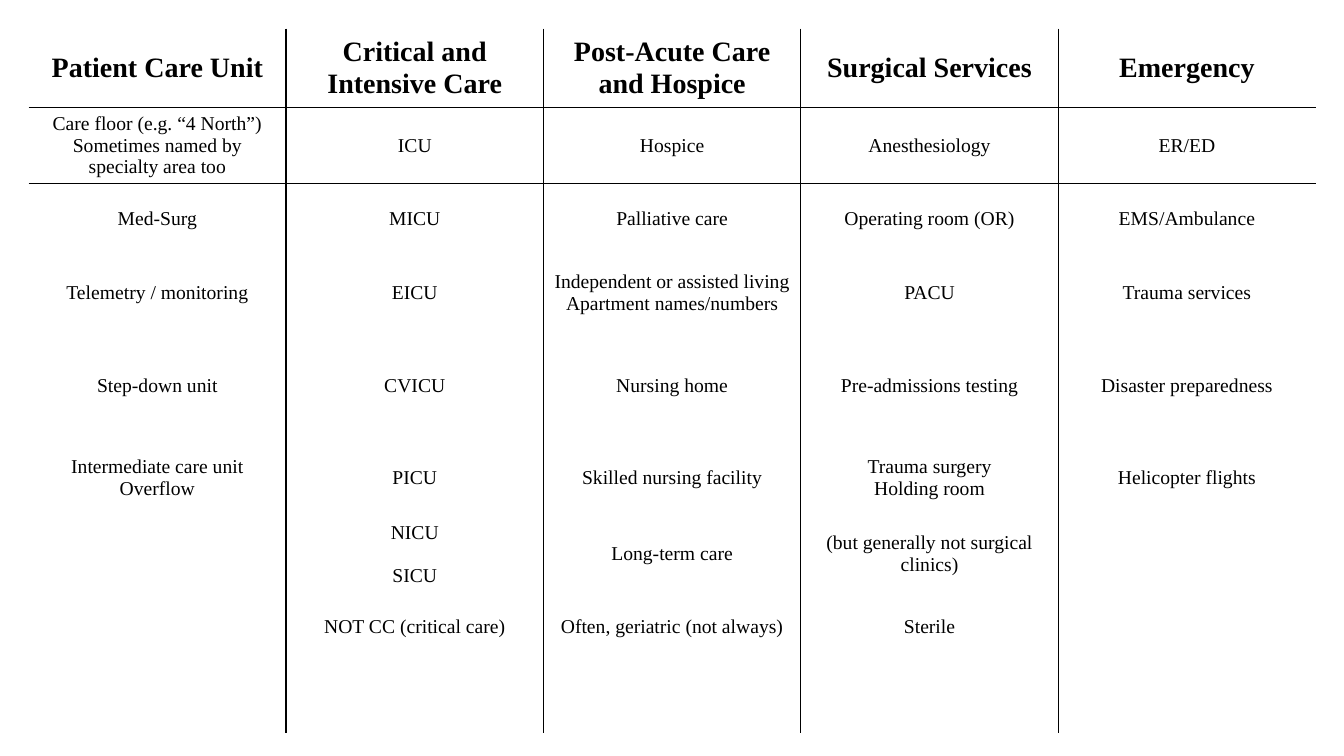
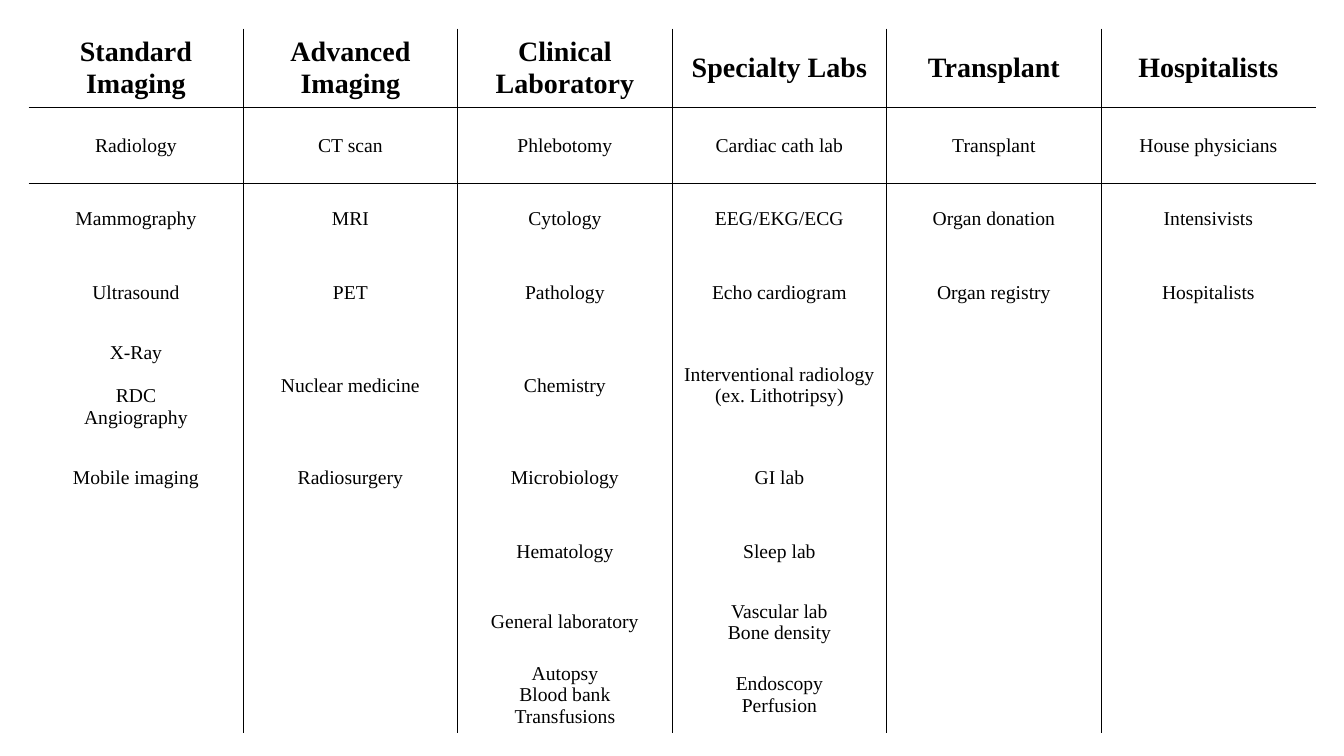
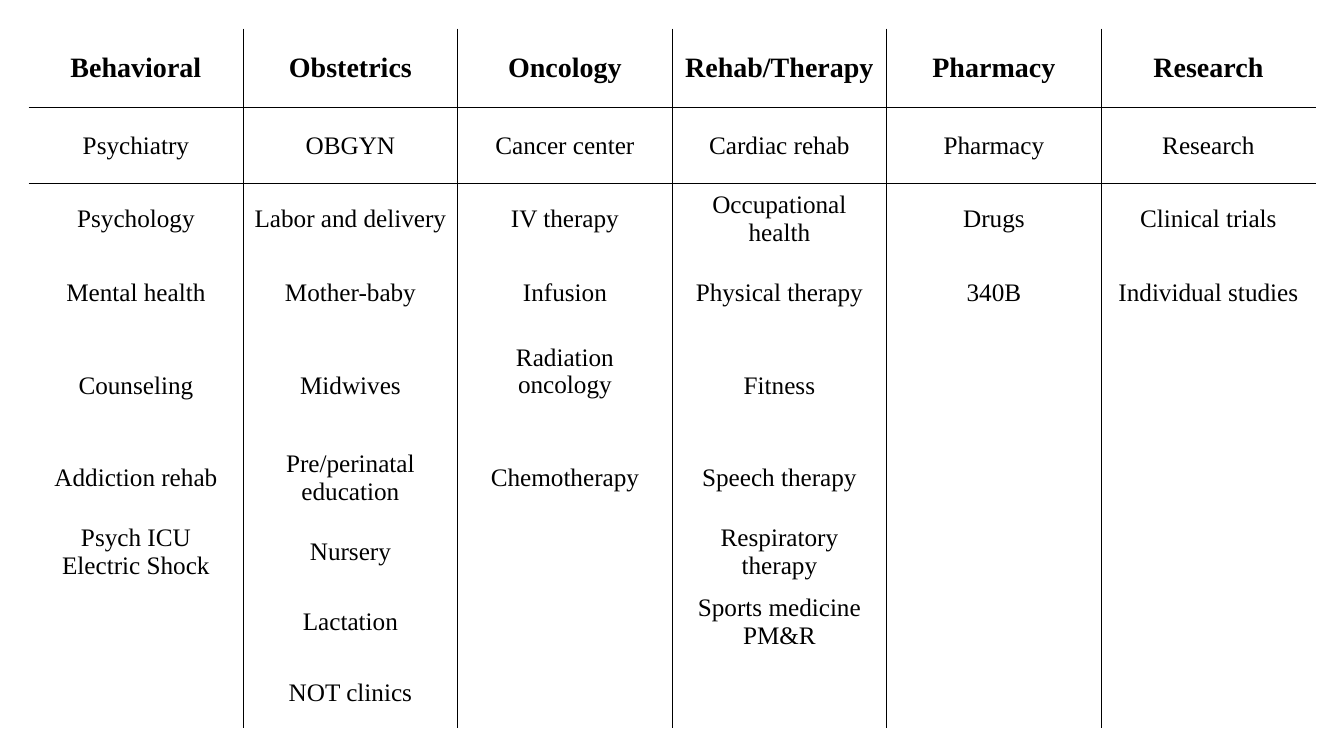
"""Builds three slides of hospital department tables."""
from lxml import etree
from pptx import Presentation
from pptx.dml.color import RGBColor
from pptx.enum import text
from pptx.oxml import ns
from pptx.util import Pt

CARE_UNITS = {
    "Patient Care Unit": [
        "Care floor (e.g. “4 North”)\nSometimes named by specialty area too", "Med-Surg",
        "Telemetry / monitoring", "Step-down unit", "Intermediate care unit\nOverflow"],
    "Critical and Intensive Care": [
        "ICU", "MICU", "EICU", "CVICU", "PICU", "NICU\n\nSICU", "NOT CC (critical care)"],
    "Post-Acute Care and Hospice": [
        "Hospice", "Palliative care", "Independent or assisted living\nApartment names/numbers",
        "Nursing home", "Skilled nursing facility", "Long-term care",
        "Often, geriatric (not always)"],
    "Surgical Services": [
        "Anesthesiology", "Operating room (OR)", "PACU", "Pre-admissions testing",
        "Trauma surgery\nHolding room", "(but generally not surgical clinics)", "Sterile"],
    "Emergency": [
        "ER/ED", "EMS/Ambulance", "Trauma services", "Disaster preparedness",
        "Helicopter flights"],
}
DIAGNOSTICS = {
    "Standard Imaging": [
        "Radiology", "Mammography", "Ultrasound", "X-Ray\n\nRDC\nAngiography", "Mobile imaging"],
    "Advanced Imaging": ["CT scan", "MRI", "PET", "Nuclear medicine", "Radiosurgery"],
    "Clinical Laboratory": [
        "Phlebotomy", "Cytology", "Pathology", "Chemistry", "Microbiology", "Hematology",
        "General laboratory", "Autopsy\nBlood bank\nTransfusions"],
    "Specialty Labs": [
        "Cardiac cath lab", "EEG/EKG/ECG", "Echo cardiogram",
        "Interventional radiology (ex. Lithotripsy)", "GI lab", "Sleep lab",
        "Vascular lab\nBone density", "Endoscopy\nPerfusion"],
    "Transplant": ["Transplant", "Organ donation", "Organ registry"],
    "Hospitalists": ["House physicians", "Intensivists", "Hospitalists"],
}
SPECIALTIES = {
    "Behavioral": [
        "Psychiatry", "Psychology", "Mental health", "Counseling", "Addiction rehab",
        "Psych ICU\nElectric Shock"],
    "Obstetrics": [
        "OBGYN", "Labor and delivery", "Mother-baby", "Midwives", "Pre/perinatal education",
        "Nursery", "Lactation", "NOT clinics"],
    "Oncology": [
        "Cancer center", "IV therapy", "Infusion", "Radiation oncology\n", "Chemotherapy"],
    "Rehab/Therapy": [
        "Cardiac rehab", "Occupational health", "Physical therapy", "Fitness",
        "Speech therapy", "Respiratory therapy", "Sports medicine\nPM&R"],
    "Pharmacy": ["Pharmacy", "Drugs", "340B"],
    "Research": ["Research", "Clinical trials", "Individual studies"],
}
SLIDES = [(CARE_UNITS, 14), (DIAGNOSTICS, 14), (SPECIALTIES, 18)]

FONT, INK, HEADING_SIZE = "Times New Roman", "000000", 20
LEFT, TOP, WIDTH = 20.5, 20.5, 919.4
ROW_HEIGHTS = [56.2, 54.7, 50.4, 54.7, 77.8, 54.7, 50.4, 50.4, 50.4]
LINE_SPACING, CELL_MARGIN = 1.11, 3.6
NO_STYLE = "{2D5ABB26-0587-4C30-8999-92F81FD0307C}"


def color(hex_value):
    """Return the colour for a hex string."""
    return RGBColor.from_string(hex_value)


def rule_cell(cell, sides):
    """Draw a thin rule on the given sides of a cell, in L, R, T, B order."""
    properties = cell._tc.get_or_add_tcPr()
    for side in sides:
        line = etree.SubElement(properties, ns.qn(f"a:ln{side}"), w=str(Pt(1)))
        fill = etree.SubElement(line, ns.qn("a:solidFill"))
        etree.SubElement(fill, ns.qn("a:srgbClr"), val=INK)


def write_cell(cell, entry, size, bold):
    """Write one paragraph per line; an empty line leaves a gap one line high."""
    cell.vertical_anchor = text.MSO_ANCHOR.MIDDLE
    frame, gap = cell.text_frame, 0
    for number, line in enumerate(entry.split("\n")):
        if number and not line:
            gap = size * LINE_SPACING
            continue
        paragraph = frame.add_paragraph() if number else frame.paragraphs[0]
        paragraph.text = line
        paragraph.alignment = text.PP_ALIGN.CENTER
        paragraph.space_before = Pt(gap)
        font = paragraph.font
        font.name, font.size, font.bold = FONT, Pt(size), bold
        font.color.rgb = color(INK)
        gap = 0
    cell.margin_bottom = Pt(CELL_MARGIN + gap)


def add_departments(slide, departments, entry_size):
    """Add a table with one column for each department."""
    row_count, column_count = len(ROW_HEIGHTS), len(departments)
    frame = slide.shapes.add_table(row_count, column_count, Pt(LEFT), Pt(TOP),
                                   Pt(WIDTH), Pt(sum(ROW_HEIGHTS)))
    table = frame.table
    table.first_row = table.horz_banding = False
    next(frame.element.iter(ns.qn("a:tableStyleId"))).text = NO_STYLE
    for row, height in zip(table.rows, ROW_HEIGHTS):
        row.height = Pt(height)
    for c, (heading, entries) in enumerate(departments.items()):
        table.columns[c].width = Pt(WIDTH / column_count)
        column = [heading, *entries]
        for r in range(row_count):
            cell = table.cell(r, c)
            if r < len(column):
                write_cell(cell, column[r], entry_size if r else HEADING_SIZE, r == 0)
            sides = [("L", c > 0), ("R", c < column_count - 1), ("T", r == 1), ("B", r == 0)]
            rule_cell(cell, [side for side, ruled in sides if ruled])
            cell.fill.background()


def main():
    """Build and save the presentation."""
    deck = Presentation()
    deck.slide_width, deck.slide_height = Pt(960), Pt(540)
    for departments, entry_size in SLIDES:
        add_departments(deck.slides.add_slide(deck.slide_layouts[6]), departments, entry_size)
    deck.save("out.pptx")


if __name__ == "__main__":
    main()
